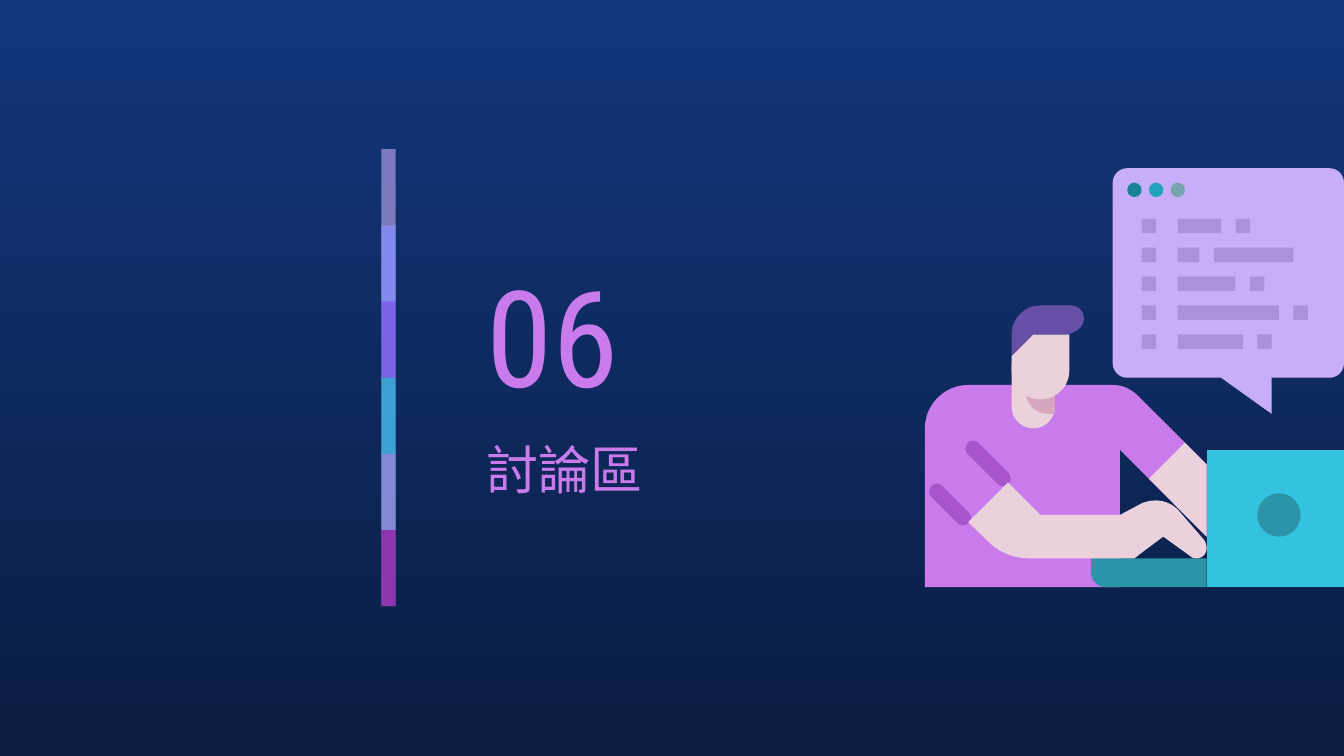
from lxml import etree
from pptx import Presentation
from pptx.dml.color import RGBColor as RGB
from pptx.enum import shapes as sh, text as tx
from pptx.oxml.ns import qn
from pptx.util import Cm, Pt

NIGHT, NAVY = RGB(0x0A, 0x1D, 0x42), RGB(0x13, 0x36, 0x7C)
PINK, PLUM = RGB(0xCA, 0x7B, 0xEB), RGB(0xA8, 0x55, 0xCB)
LILAC, MAUVE = RGB(0xC8, 0xAE, 0xF8), RGB(0xAB, 0x90, 0xDE)
CYAN, TEAL = RGB(0x35, 0xC2, 0xDF), RGB(0x2B, 0x94, 0xA9)
SKIN, SHADE = RGB(0xEA, 0xD1, 0xDC), RGB(0xD5, 0xA6, 0xBD)
HAIR, BLUE = RGB(0x67, 0x4E, 0xA7), RGB(0x87, 0x8F, 0xFF)
GRAPE, WINE = RGB(0x91, 0x54, 0xF8), RGB(0x97, 0x2C, 0xB4)
DOTS = RGB(0x19, 0x82, 0x98), RGB(0x22, 0xA2, 0xBC), RGB(0x76, 0xA5, 0xAF)
RECT, OVAL = sh.MSO_SHAPE.RECTANGLE, sh.MSO_SHAPE.OVAL

# The drawing sits on a grid of 29 by 29 steps.
LEFT, TOP, STEP = 17.48, 3.18, 7.92 / 29

deck = Presentation()
deck.slide_width, deck.slide_height = Cm(25.4), Cm(14.29)
slide = deck.slides.add_slide(deck.slide_layouts[0])
back = slide.background.fill
back.gradient()
back.gradient_angle = 270
for stop, color, place in zip(back.gradient_stops, (NAVY, NIGHT), (0, 1)):
    stop.color.rgb, stop.position = color, place


def block(kind, x, y, w, h, color):
    """Add a plain preset shape; lengths are in centimetres."""
    shape = slide.shapes.add_shape(kind, Cm(x), Cm(y), Cm(w), Cm(h))
    shape.shadow.inherit = False
    shape.fill.solid()
    shape.fill.fore_color.rgb = color
    shape.line.fill.background()
    return shape


def trace(color, *path):
    """Fill an outline of grid points; six numbers make a Bezier curve."""
    dots = [path[0]]
    for part in path[1:]:
        if len(part) == 2:
            dots.append(part)
            continue
        ends = [dots[-1], part[:2], part[2:4], part[4:]]
        for i in range(1, 13):
            t = i / 12
            mix = (1 - t) ** 3, 3 * t * (1 - t) ** 2, 3 * t * t * (1 - t), t ** 3
            dots.append(tuple(sum(m * e[a] for m, e in zip(mix, ends)) for a in (0, 1)))
    spots = [(Cm(LEFT + x * STEP), Cm(TOP + y * STEP)) for x, y in dots]
    pen = slide.shapes.build_freeform(*spots[0])
    pen.add_line_segments(spots[1:], close=True)
    shape = pen.convert_to_shape()
    shape.shadow.inherit = False
    shape.fill.solid()
    shape.fill.fore_color.rgb = color
    shape.line.fill.background()


# Striped bar: each stripe reaches under the next one
stripes = [(LILAC, 59), (BLUE, 74), (GRAPE, 53), (CYAN, 76), (PINK, 56), (WINE, 74)]
for i, (color, alpha) in enumerate(stripes):
    tall = 1.44 if i == 5 else 2.88
    bar = block(RECT, 7.21, 2.82 + 1.44 * i, 0.27, tall, color)
    tone = bar.fill._xPr.find(qn("a:solidFill"))[0]
    etree.SubElement(tone, qn("a:alpha")).set("val", str(alpha * 1000))

# Number and heading
frame = dict(word_wrap=True, auto_size=tx.MSO_AUTO_SIZE.NONE,
             vertical_anchor=tx.MSO_ANCHOR.MIDDLE, margin_left=Cm(0.25),
             margin_right=Cm(0.25), margin_top=Cm(0.25), margin_bottom=Cm(0.25))
heads = [("06", 72, "Roboto Condensed", (8.94, 4.6, 4.45, 3.43)),
         ("討論區", 28, "Noto Sans CJK SC", (8.94, 8, 7.29, 1.7))]
for box, (words, size, face, spot) in zip(slide.placeholders, heads):
    box.left, box.top, box.width, box.height = map(Cm, spot)
    for name, value in frame.items():
        setattr(box.text_frame, name, value)
    line = box.text_frame.paragraphs[0]
    line.alignment, line.space_before, line.line_spacing = tx.PP_ALIGN.LEFT, Pt(0), 1
    run = line.add_run()
    run.text = words
    run.font.size, run.font.name, run.font.color.rgb = Pt(size), face, PINK
    etree.SubElement(run.font._element, qn("a:ea")).set("typeface", face)

# Shirt with its sleeve cuffs
trace(PINK, (3, 15), (1.35, 15, 0, 16.35, 0, 18), (0, 29), (13.5, 29), (13.5, 19.5),
      (19.5, 25.5), (19.5, 20.5), (14.8, 15.8), (14.25, 15.25, 13.65, 15, 13, 15))
for x, y, n in ((0.84, 21.84, 1.8), (3.35, 18.87, 2.05)):
    p, q = x + n, y + n
    trace(PLUM, (x, y), (x - .14, y, x - .28, y + .05, x - .37, y + .15),
          (x - .6, y + .37, x - .6, y + .7, x - .37, y + .93), (p - .37, q + .93),
          (p - .28, q + 1.03, p - .14, q + 1.08, p, q + 1.08),
          (p + .14, q + 1.08, p + .28, q + 1.03, p + .37, q + .93),
          (p + .6, q + .7, p + .6, q + .37, p + .37, q + .15),
          (x + .37, y + .15), (x + .28, y + .05, x + .14, y, x, y))

# Laptop
trace(CYAN, (19.5, 19.5), (19.5, 29), (29, 29), (29, 19.5))
trace(TEAL, (11.5, 27), (11.5, 28), (11.5, 28.55, 11.95, 29, 12.5, 29),
      (19.5, 29), (19.5, 27))

# Neck, its shadow, near arm and far arm
trace(SKIN, (6, 13.5), (6, 16.5), (6, 17.33, 6.67, 18, 7.5, 18),
      (8.33, 18, 9, 17.33, 9, 16.5), (9, 13.5))
trace(SHADE, (7, 13.5), (7, 15.5), (7, 16.33, 7.67, 17, 8.5, 17), (8.9, 17),
      (8.97, 16.85, 9, 16.7, 9, 16.5), (9, 13.5))
trace(SKIN, (5.75, 21.75), (3, 24.5), (4.4, 25.85), (5.15, 26.6, 6.15, 27, 7.2, 27),
      (14.5, 27), (16.5, 25.5), (18.3, 26.8), (18.45, 26.95, 18.6, 27, 18.8, 27),
      (19.2, 27, 19.5, 26.7, 19.5, 26.3), (19.5, 26.1, 19.45, 25.9, 19.3, 25.7),
      (17.65, 23.8), (17.25, 23.3, 16.65, 23, 16, 23),
      (15.7, 23, 15.35, 23.05, 15, 23.2), (13.5, 24), (8, 24))
trace(SKIN, (18, 19), (15.5, 21.5), (19.5, 25.5), (19.5, 20.5))
block(OVAL, LEFT + 23 * STEP, TOP + 22.5 * STEP, 3 * STEP, 3 * STEP, TEAL)

# Speech bubble with lines of code
trace(LILAC, (14, 0), (13.45, 0, 13, .45, 13, 1), (13, 13.5),
      (13, 14.05, 13.45, 14.5, 14, 14.5), (20.5, 14.5), (24, 17), (24, 14.5), (28, 14.5),
      (28.55, 14.5, 29, 14.05, 29, 13.5), (29, 1), (29, .45, 28.55, 0, 28, 0))
for i, (one, two) in enumerate([(3, 1), (1.5, 5.5), (4, 1), (7, 1), (4.5, 1)]):
    for x, wide in ((15, 1), (17.5, one), (18.5 + one, two)):
        block(RECT, LEFT + x * STEP, TOP + (3.5 + 2 * i) * STEP, wide * STEP, STEP, MAUVE)

# Head and hair
trace(SKIN, (7.5, 11.5), (6, 13), (6, 14), (6, 15.1, 6.9, 16, 8, 16),
      (9.1, 16, 10, 15.1, 10, 14), (10, 11.5))
trace(HAIR, (8, 9.5), (6.9, 9.5, 6, 10.4, 6, 11.5), (6, 13), (7.5, 11.5), (10, 11.5),
      (10.5, 11.25), (10.8, 11.05, 11, 10.75, 11, 10.4), (11, 9.9, 10.6, 9.5, 10.1, 9.5))

# Window buttons
for i, color in enumerate(DOTS):
    block(OVAL, LEFT + (14 + 1.5 * i) * STEP, TOP + STEP, STEP, STEP, color)

deck.save("out.pptx")
